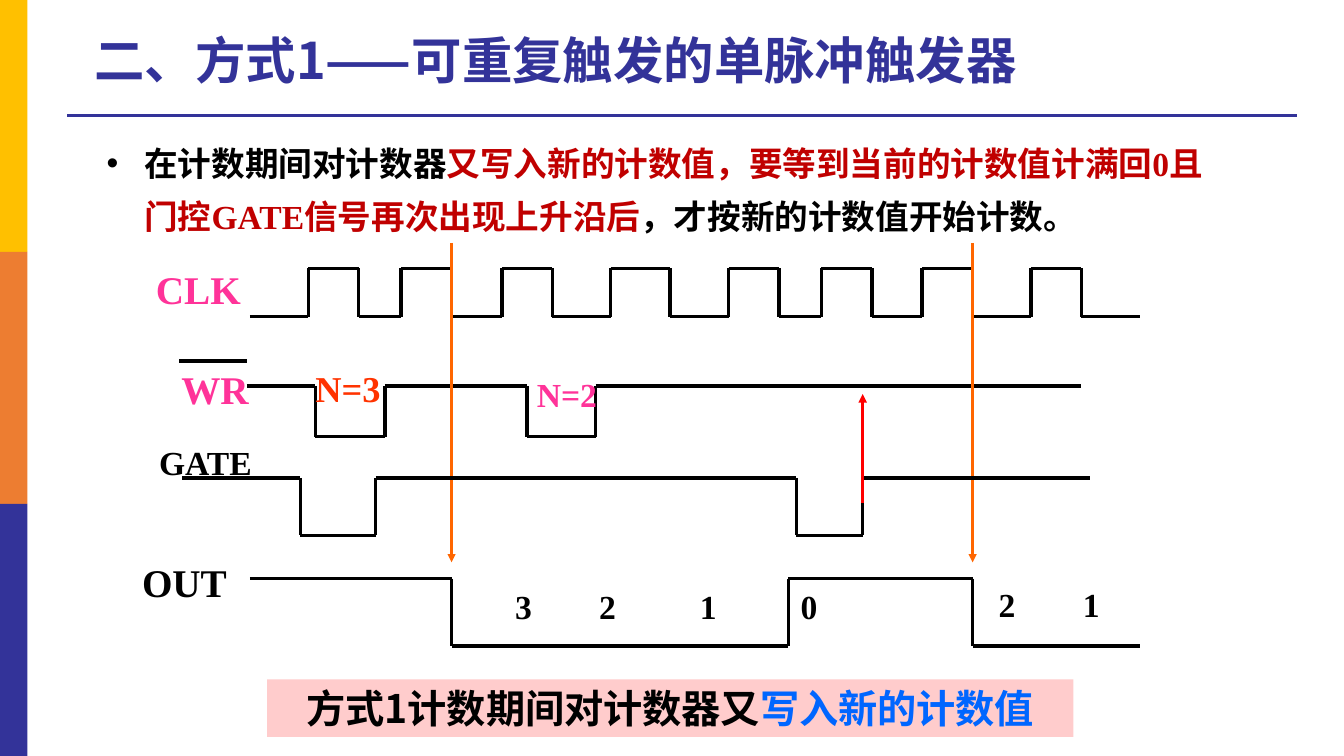
from itertools import accumulate

from lxml import etree
from pptx import Presentation
from pptx import util as u
from pptx.dml.color import RGBColor
from pptx.enum import shapes, text
from pptx.oxml.ns import qn

BLACK = RGBColor(0x00, 0x00, 0x00)
NAVY = RGBColor(0x33, 0x33, 0x99)
GOLD = RGBColor(0xFF, 0xC0, 0x00)
RUST = RGBColor(0xED, 0x7D, 0x31)
PINK = RGBColor(0xFF, 0x33, 0x99)
VERMILION = RGBColor(0xFF, 0x33, 0x00)
ORANGE = RGBColor(0xFF, 0x66, 0x00)
RED = RGBColor(0xFF, 0x00, 0x00)
DARK_RED = RGBColor(0xC0, 0x00, 0x00)
BLUE = RGBColor(0x00, 0x66, 0xFF)
BLUSH = RGBColor(0xFF, 0xCC, 0xCC)

CJK = "Noto Sans CJK SC"
SERIF = "Times New Roman"


# Basic parts; boxes and points are in centimetres
def style_run(r, size, color, font):
    r.font.size = u.Pt(size)
    r.font.bold = True
    r.font.color.rgb = color
    r.font.name = font
    etree.SubElement(r._r.get_or_add_rPr(), qn("a:ea")).set("typeface", font)


def add_runs(p, size, runs):
    for words, color, font in runs:
        r = p.add_run()
        r.text = words
        style_run(r, size, color, font)


def add_box(s, box):
    tf = s.shapes.add_textbox(*map(u.Cm, box)).text_frame
    tf.word_wrap = True
    return tf


def add_label(s, box, words, size, color, tabs=()):
    p = add_box(s, box).paragraphs[0]
    if tabs:
        tab_list = etree.SubElement(p._p.get_or_add_pPr(), qn("a:tabLst"))
        for pos in tabs:
            tab = etree.SubElement(tab_list, qn("a:tab"))
            tab.set("pos", str(u.Cm(pos)))
            tab.set("algn", "l")
    p.text = words
    style_run(p.runs[0], size, color, SERIF)


def add_bar(s, box, color):
    sp = s.shapes.add_shape(shapes.MSO_SHAPE.RECTANGLE, *map(u.Cm, box))
    sp.shadow.inherit = False
    sp.fill.solid()
    sp.fill.fore_color.rgb = color
    sp.line.fill.background()
    return sp


def add_line(s, start, end, color=BLACK, width=2.5, arrow=False):
    cx = s.shapes.add_connector(
        shapes.MSO_CONNECTOR.STRAIGHT, *map(u.Cm, (*start, *end)))
    cx.line.color.rgb = color
    cx.line.width = u.Pt(width)
    if arrow:
        etree.SubElement(cx.line._get_or_add_ln(), qn("a:tailEnd")).set("type", "triangle")
    etree.SubElement(cx._element.spPr, qn("a:effectLst"))


# Coloured side strip and title with its rule
def frame(s, box):
    x, y, w, h = box
    for i, color in enumerate((GOLD, RUST, NAVY)):
        add_bar(s, (x, y + i * h / 3, 0.69, h / 3), color)
    add_line(s, (x + 1.7, y + 2.92), (x + w - 1.18, y + 2.92), NAVY, 2.25)


def title(s, box):
    sp = s.shapes.title
    sp.left, sp.top, sp.width, sp.height = map(u.Cm, box)
    tf = sp.text_frame
    tf.auto_size = text.MSO_AUTO_SIZE.NONE
    tf.vertical_anchor = text.MSO_ANCHOR.MIDDLE
    p = tf.paragraphs[0]
    p.text = "二、方式1——可重复触发的单脉冲触发器"
    p.alignment = text.PP_ALIGN.LEFT
    p.line_spacing = 0.9
    style_run(p.runs[0], 36, NAVY, CJK)


# Bulleted explanation
def explanation(s, box):
    p = add_box(s, box).paragraphs[0]
    pPr = p._p.get_or_add_pPr()
    pPr.set("marL", str(u.Cm(0.95)))
    pPr.set("indent", str(u.Cm(-0.95)))
    etree.SubElement(pPr, qn("a:buFont")).set("typeface", "Arial")
    etree.SubElement(pPr, qn("a:buChar")).set("char", "•")
    p.line_spacing = 1.3
    add_runs(p, 24, [
        ("在计数期间对计数器", BLACK, CJK),
        ("又写入新的计数值，要等到当前的计数值计满回", DARK_RED, CJK),
        ("0", DARK_RED, SERIF),
        ("且门控", DARK_RED, CJK),
        ("GATE", DARK_RED, SERIF),
        ("信号再次出现上升沿后", DARK_RED, CJK),
        ("，才按新的计数值开始计数。", BLACK, CJK),
    ])


# One signal: its name and a square wave that toggles after each duration
def signal(s, box, name, shift, size, color, durations, high=True):
    x, y, w, h = box
    add_label(s, (x + shift[0], y + shift[1], 4, 1.45), name, size, color)
    edges = [x + t for t in accumulate(durations)] + [x + w]
    start = x
    for i, end in enumerate(edges):
        level = y if high else y + h
        other = y + h if high else y
        add_line(s, (start, level), (end, level))
        if i < len(durations):
            add_line(s, (end, level), (end, other))
        start, high = end, not high


def timing_diagram(s, box):
    x, y, w, h = box
    signal(s, (x + 2.97, y + 0.64, 22.43, 1.22), "CLK", (-2.62, -0.21), 28, PINK,
           [1.47, 1.27, 1.07, 1.27, 1.27, 1.27, 1.47, 1.5,
            1.47, 1.27, 1.07, 1.27, 1.27, 1.27, 1.47, 1.27], high=False)

    # WR is active low, with the two written values
    signal(s, (x + 2.89, y + 3.61, 21.03, 1.27), "WR", (-1.9, -0.64), 28, PINK,
           [1.73, 1.75, 3.58, 1.73])
    add_line(s, (x + 1.19, y + 2.97), (x + 2.89, y + 2.97), width=2.75)
    add_label(s, (x + 4.37, y + 2.97, 3.38, 1.37), "N=3", 26, VERMILION)
    add_label(s, (x + 9.95, y + 3.18, 4.44, 1.3), "N=2", 24, PINK)

    # Falling clock edges where OUT changes
    for edge in (8.05, 21.18):
        add_line(s, (x + edge, y), (x + edge, y + 8.05), ORANGE, 1.75, arrow=True)

    signal(s, (x + 1.27, y + 5.92, 22.86, 1.45), "GATE", (-0.84, -1.04), 24, BLACK,
           [2.97, 1.9, 10.6, 1.67])
    signal(s, (x + 2.97, y + 8.46, 22.43, 1.7), "OUT", (-2.97, -0.64), 28, BLACK,
           [5.08, 8.49, 4.64])
    add_label(s, (x + 9.4, y + 8.51, 8.69, 1.3), "3\t2\t1\t0", 24, BLACK,
              (2.12, 4.66, 7.2))
    add_label(s, (x + 21.59, y + 8.46, 3.81, 1.3), "2\t1", 24, BLACK, (2.12,))

    # Rising GATE edge that triggers again
    add_line(s, (x + 18.41, y + 6.55), (x + 18.41, y + 3.81), RED, 2, arrow=True)


def caption(s, box):
    tf = add_bar(s, box, BLUSH).text_frame
    tf.vertical_anchor = text.MSO_ANCHOR.MIDDLE
    p = tf.paragraphs[0]
    p.alignment = text.PP_ALIGN.CENTER
    add_runs(p, 28, [("方式1计数期间对计数器又", BLACK, CJK),
                     ("写入新的计数值", BLUE, CJK)])


def main():
    prs = Presentation()
    prs.slide_width, prs.slide_height = u.Cm(33.87), u.Cm(19.05)
    s = prs.slides.add_slide(prs.slide_layouts[5])
    frame(s, (0, 0, 33.87, 19.05))
    title(s, (2.13, 0.48, 28, 2.2))
    timing_diagram(s, (3.33, 6.12, 25.4, 10.16))
    caption(s, (6.73, 17.12, 20.32, 1.45))
    explanation(s, (2.44, 3.18, 28.3, 2.92))
    prs.save("out.pptx")


if __name__ == "__main__":
    main()
